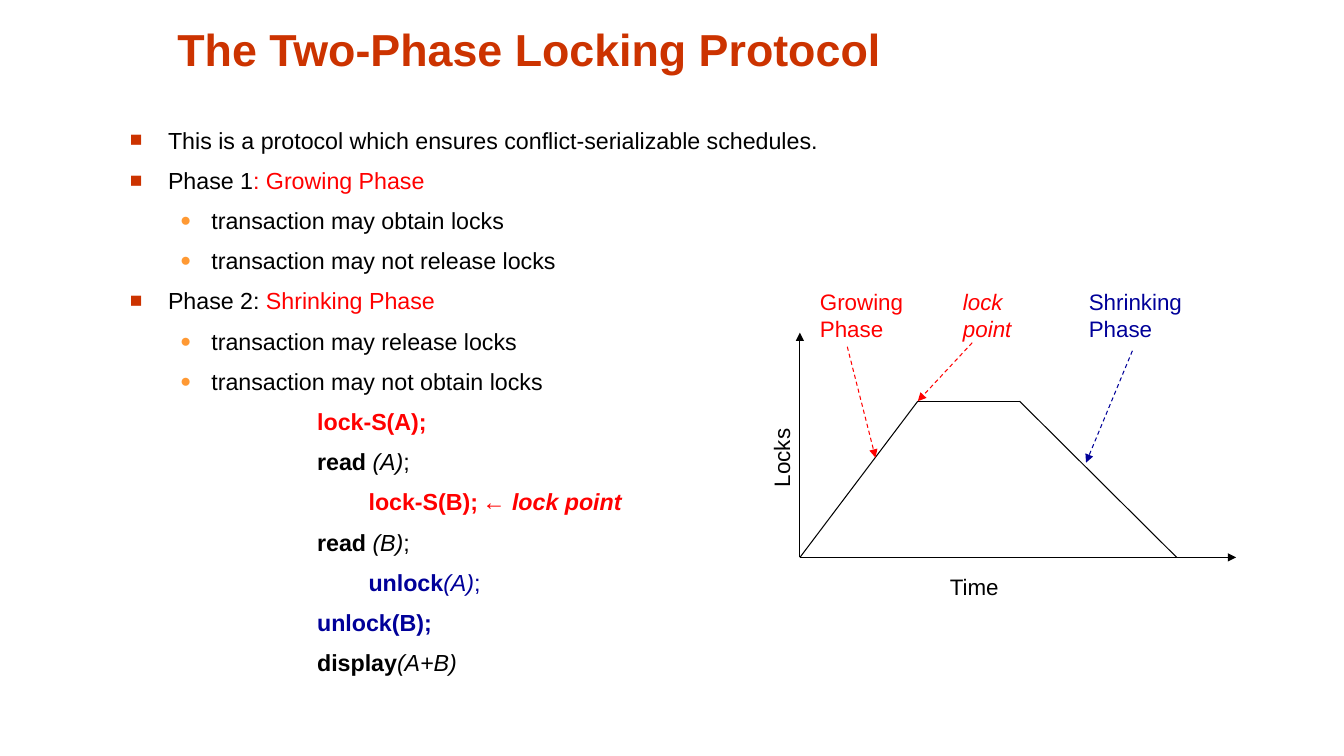
from lxml import etree
from pptx import Presentation
from pptx.dml.color import RGBColor
from pptx.enum.dml import MSO_LINE
from pptx.enum.shapes import MSO_CONNECTOR
from pptx.enum.text import MSO_ANCHOR, MSO_AUTO_SIZE, PP_ALIGN
from pptx.oxml.ns import qn
from pptx.util import Inches, Pt

STRAIGHT, DASH = MSO_CONNECTOR.STRAIGHT, MSO_LINE.DASH
BOTTOM, CENTER, NO_FIT = MSO_ANCHOR.BOTTOM, PP_ALIGN.CENTER, MSO_AUTO_SIZE.NONE
BLACK, RED, BLUE, RUST, ORANGE = "000000", "FF0000", "000099", "CC3300", "FF9933"
CELL = Inches(0.1)


def color(hex_code):
    return RGBColor.from_string(hex_code)


def add_run(p, text, size, hex_code, style=""):
    r = p.add_run()
    r.text = text
    r.font.name = "Arial"
    r.font.size = Pt(size)
    r.font.color.rgb = color(hex_code)
    r.font.bold = "b" in style
    r.font.italic = "i" in style


prs = Presentation()
prs.slide_width, prs.slide_height = round(133.4 * CELL), 75 * CELL
s = prs.slides.add_slide(prs.slide_layouts[5])

title = s.shapes.title
title.left, title.top, title.width, title.height = [round(n * CELL) for n in (11.2, 1.3, 82.7, 6.7)]
tf = title.text_frame
tf.auto_size = NO_FIT
tf.vertical_anchor = BOTTOM
tf.paragraphs[0].alignment = CENTER
add_run(tf.paragraphs[0], "The Two-Phase Locking Protocol", 32, RUST, "b")

LEVELS = {
    "point": (0.38, -0.38, "■", RUST, 90),
    "sub": (0.81, -0.31, "●", ORANGE, 80),
    "code": (0, 1.86, None, None, None),
    "step": (0, 2.37, None, None, None),
}
lines = [
    ("point", [("This is a protocol which ensures conflict-serializable schedules.", BLACK)]),
    ("point", [("Phase 1", BLACK), (": Growing Phase", RED)]),
    ("sub", [("transaction may obtain locks", BLACK)]),
    ("sub", [("transaction may not release locks", BLACK)]),
    ("point", [("Phase 2: ", BLACK), ("Shrinking Phase", RED)]),
    ("sub", [("transaction may release locks", BLACK)]),
    ("sub", [("transaction may not obtain locks", BLACK)]),
    ("code", [("lock-S(A);", RED, "b")]),
    ("code", [("read ", BLACK, "b"), ("(A)", BLACK, "i"), (";", BLACK)]),
    ("step", [("lock-S(B);\t", RED, "b"), ("← lock point", RED, "bi")]),
    ("code", [("read ", BLACK, "b"), ("(B)", BLACK, "i"), (";", BLACK)]),
    ("step", [("unlock", BLUE, "b"), ("(A)", BLUE, "i"), (";", BLUE)]),
    ("code", [("unlock(B);", BLUE, "b")]),
    ("code", [("display", BLACK, "b"), ("(A+B)", BLACK, "i")]),
]
body = s.shapes.add_textbox(*[round(n * CELL) for n in (11.9, 12, 111.7, 53.6)])
tf = body.text_frame
tf.word_wrap = True
for i, (level, runs) in enumerate(lines):
    p = tf.paragraphs[0] if i == 0 else tf.add_paragraph()
    margin, indent, bullet, bullet_color, bullet_size = LEVELS[level]
    pPr = p._p.get_or_add_pPr()
    pPr.set("marL", str(Inches(margin)))
    pPr.set("indent", str(Inches(indent)))
    if i > 0:
        p.space_before = Pt(8.8)
    if bullet:
        clr = etree.SubElement(pPr, qn("a:buClr"))
        etree.SubElement(clr, qn("a:srgbClr"), val=bullet_color)
        etree.SubElement(pPr, qn("a:buSzPct"), val=str(bullet_size * 1000))
        etree.SubElement(pPr, qn("a:buFont"), typeface="Arial")
        etree.SubElement(pPr, qn("a:buChar"), char=bullet)
    else:
        etree.SubElement(pPr, qn("a:buNone"))
    if level == "step":
        tabs = etree.SubElement(pPr, qn("a:tabLst"))
        etree.SubElement(tabs, qn("a:tab"), pos=str(Inches(3.76)), algn="l")
    for run in runs:
        add_run(p, run[0], 16.6, *run[1:])

origin, peak, plateau_end, finish = (79.4, 55.3), (91.1, 39.8), (101.2, 39.8), (116.8, 55.3)
connectors = [
    (origin, peak, BLACK, False, False),
    (peak, plateau_end, BLACK, False, False),
    (plateau_end, finish, BLACK, False, False),
    (origin, (79.4, 33), BLACK, False, True),
    (origin, (122.7, 55.3), BLACK, False, True),
    ((84.1, 34.4), (86.9, 45.4), RED, True, True),
    ((112.4, 34.8), (107.8, 45.9), BLUE, True, True),
    ((96.5, 34), peak, RED, True, True),
]
for start, end, hex_code, dashed, arrow in connectors:
    sp = s.shapes.add_connector(STRAIGHT, *[round(n * CELL) for n in start + end])
    sp.line.color.rgb = color(hex_code)
    sp.line.width = Pt(0.75)
    if dashed:
        sp.line.dash_style = DASH
    if arrow:
        etree.SubElement(sp.line._get_or_add_ln(), qn("a:tailEnd"), type="triangle")
    etree.SubElement(sp._element.spPr, qn("a:effectLst"))

labels = [
    ("Time", 93.3, 56.4, 12.3, 3.7, BLACK, "", 0),
    ("Locks", 70.6, 40.5, 13.9, 3.7, BLACK, "", 270),
    ("Growing Phase", 80.4, 28.1, 11.1, 6.4, RED, "", 0),
    ("lock point", 94.6, 28.1, 11.1, 6.4, RED, "i", 0),
    ("Shrinking Phase", 107.1, 28.1, 12.4, 6.4, BLUE, "", 0),
]
for text, x, y, w, h, hex_code, style, angle in labels:
    sp = s.shapes.add_textbox(*[round(n * CELL) for n in (x, y, w, h)])
    sp.rotation = angle
    sp.text_frame.word_wrap = True
    add_run(sp.text_frame.paragraphs[0], text, 16, hex_code, style)

prs.save("out.pptx")
